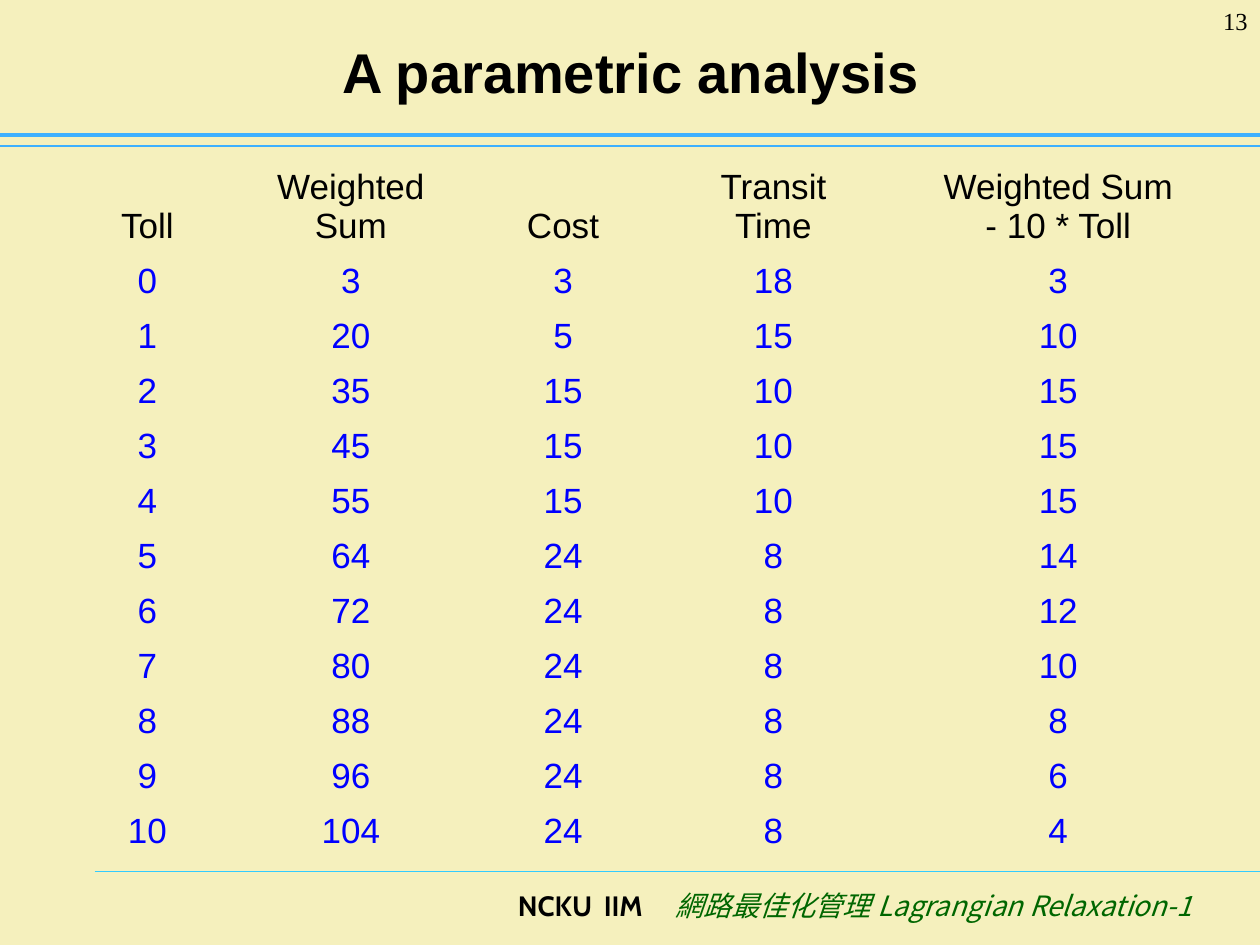
"""Build the slide with the toll table of a parametric analysis."""
from lxml.etree import SubElement
from pptx import Presentation
from pptx.dml.color import RGBColor
from pptx.enum.shapes import MSO_CONNECTOR as Connector
from pptx.enum.text import MSO_ANCHOR as Anchor, PP_ALIGN as Align
from pptx.oxml.ns import qn
from pptx.util import Pt

COLORS = {"paper": "F5F0BD", "ink": "000000", "value": "0000FF", "rule": "3DB0FF",
          "footer_rule": "33CCFF", "course": "006600"}
NO_STYLE_NO_GRID = "{2D5ABB26-0587-4C30-8999-92F81FD0307C}"


def add_span(para, text, color, **formats):
    span = para.add_run()
    span.text = text
    span.font.color.rgb = RGBColor.from_string(COLORS[color])
    for name, value in formats.items():
        setattr(span.font, name, value)
    return span


def add_box(page, left, top, width, height, align, anchor=Anchor.TOP):
    box = page.shapes.add_textbox(Pt(left), Pt(top), Pt(width), Pt(height))
    box.text_frame.word_wrap = True
    box.text_frame.vertical_anchor = anchor
    box.text_frame.paragraphs[0].alignment = align
    return box.text_frame


deck = Presentation()
deck.slide_width, deck.slide_height = Pt(720), Pt(540)
page = deck.slides.add_slide(deck.slide_layouts[6])
page.background.fill.solid()
page.background.fill.fore_color.rgb = RGBColor.from_string(COLORS["paper"])

for left, top, weight, color in [
    (54, 498, 0.75, "footer_rule"),
    (0, 83.4, 0.75, "rule"),
    (0, 77, 2.5, "rule"),
]:
    rule = page.shapes.add_connector(Connector.STRAIGHT, Pt(left), Pt(top), Pt(720), Pt(top))
    rule.line.color.rgb = RGBColor.from_string(COLORS[color])
    rule.line.width = Pt(weight)
    SubElement(rule.element.spPr, qn("a:effectLst"))

footer = add_box(page, 132, 504, 560, 36, Align.LEFT)
footer.margin_left, footer.margin_right = Pt(164), Pt(0)
para = footer.paragraphs[0]
tabs = SubElement(para._p.get_or_add_pPr(), qn("a:tabLst"))
for position in (49, 90):
    SubElement(tabs, qn("a:tab"), pos=str(Pt(position)), algn="l")
add_span(para, "NCKU\tIIM\t", "ink", name="Cabin", size=Pt(16), bold=True)
course = add_span(para, "網路最佳化管理 Lagrangian Relaxation-1", "course",
                  name="Noto Sans CJK SC", size=Pt(16), italic=True)
SubElement(course.font._element, qn("a:ea"), typeface="Noto Sans CJK SC")

title = add_box(page, 36.5, 8, 648, 65, Align.CENTER, Anchor.MIDDLE)
add_span(title.paragraphs[0], "A parametric analysis", "ink", name="Arial", size=Pt(32), bold=True)

headers = ["Toll", "Weighted\nSum", "Cost", "Transit\nTime", "Weighted Sum\n- 10 * Toll"]
costs = [3, 5] + [15] * 3 + [24] * 6
times = [18, 15] + [10] * 3 + [8] * 6
rows = [headers]
for toll, (cost, time) in enumerate(zip(costs, times)):
    weighted_sum = cost + toll * time
    rows.append([toll, weighted_sum, cost, time, weighted_sum - 10 * toll])

widths = [96.5, 136, 106.5, 134, 191.5]
heights = [55.4] + [31.45] * len(costs)
frame = page.shapes.add_table(len(rows), len(headers), Pt(36), Pt(88.5),
                              Pt(sum(widths)), Pt(sum(heights)))
table = frame.table
table.first_row = table.horz_banding = False
table._tbl.tblPr.find(qn("a:tableStyleId")).text = NO_STYLE_NO_GRID
for column, width in zip(table.columns, widths):
    column.width = Pt(width)
for row, height, values in zip(table.rows, heights, rows):
    row.height = Pt(height)
    color = "ink" if values is headers else "value"
    for cell, value in zip(row.cells, values):
        cell.fill.background()
        cell.vertical_anchor = Anchor.BOTTOM
        for index, line in enumerate(str(value).split("\n")):
            para = cell.text_frame.add_paragraph() if index else cell.text_frame.paragraphs[0]
            para.alignment = Align.CENTER
            add_span(para, line, color, name="Arial", size=Pt(20))

number = add_box(page, 660, 0, 60, 36, Align.RIGHT)
add_span(number.paragraphs[0], "13", "ink", name="Times New Roman", size=Pt(14))

deck.save("out.pptx")
